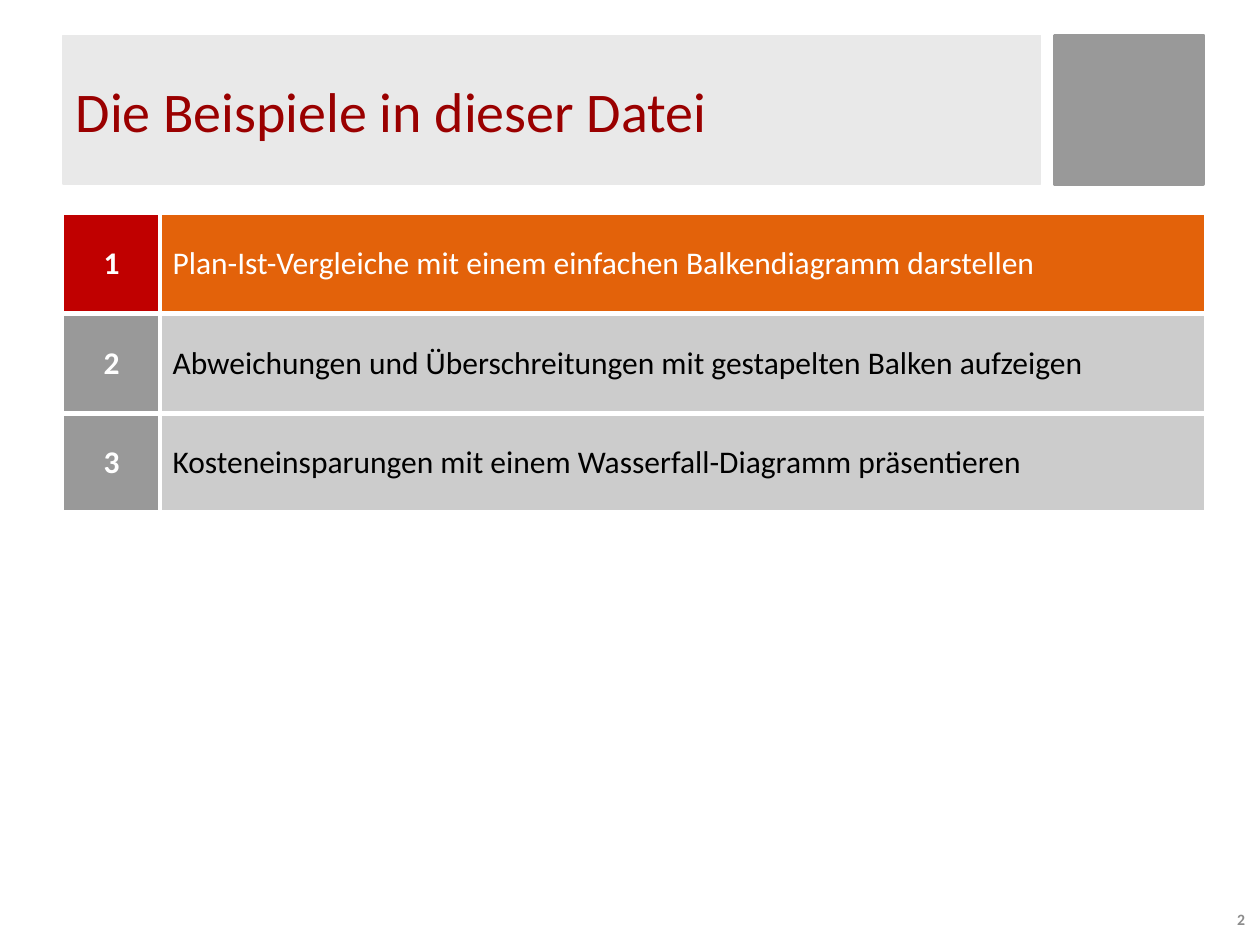
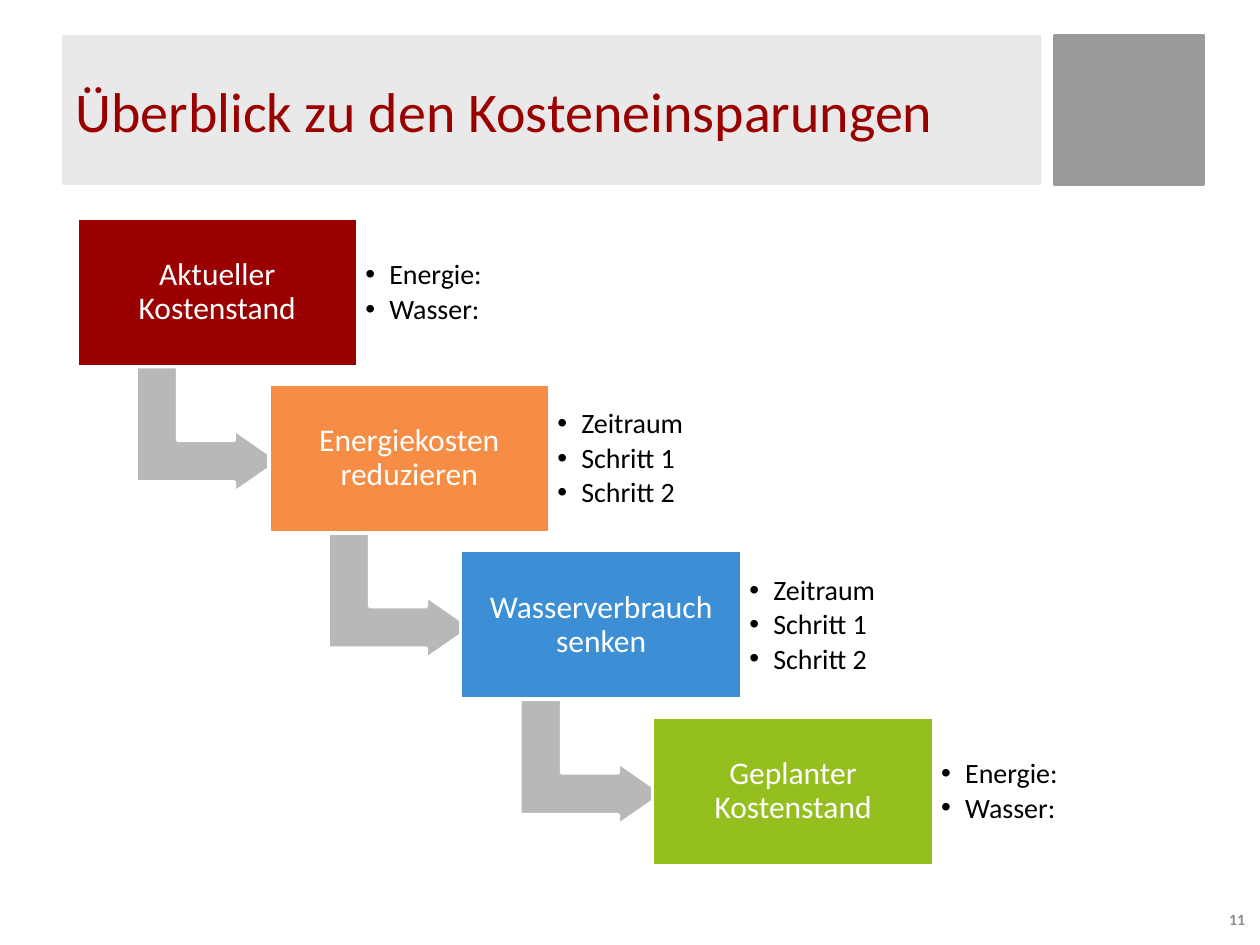
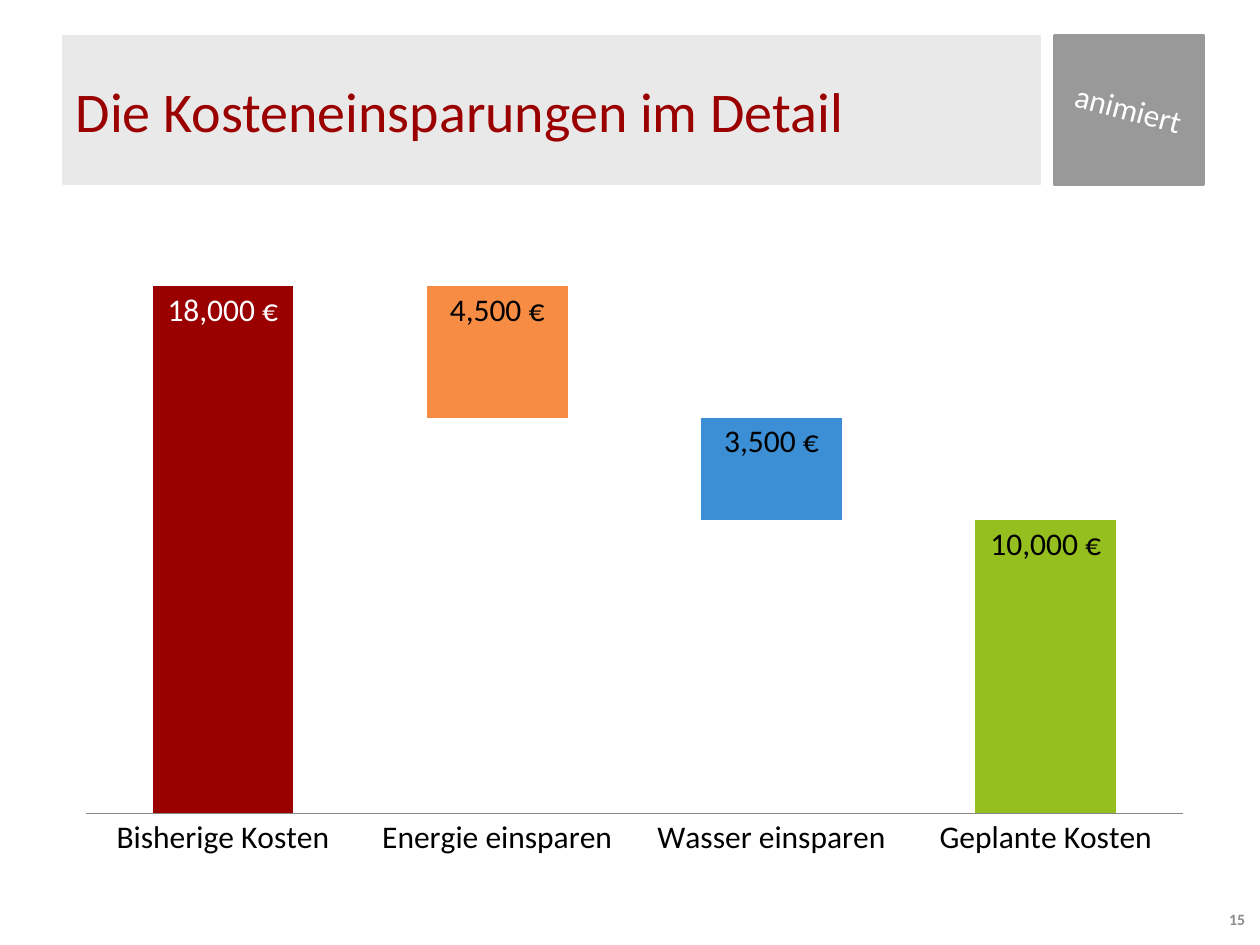
"""Build three slides on presenting cost savings."""
from dataclasses import dataclass

from lxml.etree import SubElement
from pptx import Presentation
from pptx.chart.data import CategoryChartData
from pptx.dml.color import RGBColor
from pptx.enum.chart import XL_CHART_TYPE, XL_LABEL_POSITION, XL_TICK_MARK
from pptx.enum.shapes import MSO_SHAPE
from pptx.enum.text import MSO_ANCHOR, MSO_AUTO_SIZE, PP_ALIGN
from pptx.oxml.ns import qn
from pptx.util import Inches, Pt


@dataclass(frozen=True)
class Theme:
    """Hold the colours, font and type sizes of the deck."""
    font: str = "Calibri"
    title_size: int = 32
    text_size: int = 18
    list_size: int = 16
    number_size: int = 9
    white: str = "FFFFFF"
    black: str = "000000"
    title_band: str = "E9E9E9"
    corner: str = "999999"
    arrow: str = "B8B8B8"
    row: str = "CCCCCC"
    axis: str = "868686"
    page_number: str = "8C8C8C"
    active_number: str = "C00000"
    active_row: str = "E3620A"
    dark_red: str = "9A0000"
    orange: str = "F78D44"
    blue: str = "3C8FD4"
    green: str = "95BF1F"

    @property
    def stages(self):
        """Return the colours of the four cost stages."""
        return self.dark_red, self.orange, self.blue, self.green


class SlideBuilder:
    """Add styled elements to the current slide."""

    def __init__(self, deck, theme):
        """Keep the deck and its theme."""
        self.deck = deck
        self.theme = theme
        self.page = None

    def start_page(self, title, number):
        """Open a slide with its title band, corner square and page number."""
        self.page = self.deck.slides.add_slide(self.deck.slide_layouts[5])
        self.add_box(MSO_SHAPE.RECTANGLE, (8.37, 0.28, 1.18, 1.18),
                     self.theme.corner, self.theme.corner)
        band = self.page.shapes.title
        band.left, band.top, band.width, band.height = map(Inches, (0.5, 0.28, 7.76, 1.18))
        self.paint(band, self.theme.title_band, self.theme.title_band, 0.75)
        band.text_frame.vertical_anchor = MSO_ANCHOR.MIDDLE
        band.text_frame.auto_size = MSO_AUTO_SIZE.NONE
        self.add_span(band.text_frame.paragraphs[0], title, self.theme.title_size,
                      self.theme.dark_red, align=PP_ALIGN.LEFT)
        frame = self.add_text_box((9.18, 7.14, 0.8, 0.31)).text_frame
        self.add_span(frame.paragraphs[0], number, self.theme.number_size,
                      self.theme.page_number, bold=True, align=PP_ALIGN.RIGHT)

    def set_font(self, font, size, color, bold=False):
        """Apply the theme font with a size and colour."""
        font.name = self.theme.font
        font.size = Pt(size)
        font.bold = bold
        font.color.rgb = RGBColor.from_string(color)

    def add_span(self, para, text, size, color, bold=False, align=PP_ALIGN.LEFT):
        """Add one formatted run to a paragraph."""
        para.alignment = align
        span = para.add_run()
        span.text = text
        self.set_font(span.font, size, color, bold)

    def paint(self, shape, fill, line, width=2):
        """Give a shape a solid fill and outline."""
        shape.fill.solid()
        shape.fill.fore_color.rgb = RGBColor.from_string(fill)
        shape.line.color.rgb = RGBColor.from_string(line)
        shape.line.width = Pt(width)

    def add_box(self, kind, place, fill, line):
        """Add a flat preset shape."""
        box = self.page.shapes.add_shape(kind, *map(Inches, place))
        box.shadow.inherit = False
        self.paint(box, fill, line)
        return box

    def add_text_box(self, place):
        """Add a wrapping text box centred vertically."""
        box = self.page.shapes.add_textbox(*map(Inches, place))
        box.text_frame.word_wrap = True
        box.text_frame.vertical_anchor = MSO_ANCHOR.MIDDLE
        return box

    def set_margins(self, frame, margin):
        """Set the four text margins alike."""
        frame.margin_left = frame.margin_right = Inches(margin)
        frame.margin_top = frame.margin_bottom = Inches(margin)

    def add_stage(self, left, top, caption, fill):
        """Add a coloured box with a centred caption."""
        box = self.add_box(MSO_SHAPE.RECTANGLE, (left, top, 2.23, 1.18),
                           fill, self.theme.white)
        frame = box.text_frame
        frame.word_wrap = True
        frame.vertical_anchor = MSO_ANCHOR.MIDDLE
        self.set_margins(frame, 0.07)
        frame.paragraphs[0].line_spacing = 0.9
        self.add_span(frame.paragraphs[0], caption, self.theme.text_size,
                      self.theme.white, align=PP_ALIGN.CENTER)

    def add_bent_arrow(self, left, top):
        """Add an arrow that runs down and then right."""
        arrow = self.add_box(MSO_SHAPE.BENT_UP_ARROW, (left, top, 1, 1.14),
                             self.theme.arrow, self.theme.white)
        arrow.rotation = 90
        for index, value in enumerate((0.33, 0.25, 0.36)):
            arrow.adjustments[index] = value

    def add_bullets(self, left, top, items):
        """Add a small bulleted list."""
        frame = self.add_text_box((left, top, 1.22, 0.95)).text_frame
        self.set_margins(frame, 0.07)
        for index, item in enumerate(items):
            para = frame.add_paragraph() if index else frame.paragraphs[0]
            para.line_spacing = 0.9
            para.space_after = Pt(2.4)
            properties = para._p.get_or_add_pPr()
            properties.set("marL", str(Inches(0.19)))
            properties.set("indent", str(-Inches(0.19)))
            SubElement(properties, qn("a:buFont"), typeface="Arial")
            SubElement(properties, qn("a:buChar"), char="•")
            self.add_span(para, item, self.theme.list_size, self.theme.black)

    def fill_cell(self, cell, text, fill, color, borders, bold=False, align=PP_ALIGN.LEFT):
        """Fill a table cell with text, colour and white borders."""
        properties = cell._tc.get_or_add_tcPr()
        for side, width in zip("LRTB", borders):
            line = SubElement(properties, qn(f"a:ln{side}"), w=str(Pt(width)))
            solid = SubElement(line, qn("a:solidFill"))
            SubElement(solid, qn("a:srgbClr"), val=self.theme.white)
        cell.fill.solid()
        cell.fill.fore_color.rgb = RGBColor.from_string(fill)
        cell.vertical_anchor = MSO_ANCHOR.MIDDLE
        self.add_span(cell.text_frame.paragraphs[0], text, self.theme.text_size,
                      color, bold, align)

    def add_agenda(self, topics, active):
        """Add a numbered topic table with one highlighted row."""
        theme = self.theme
        place = map(Inches, (0.5, 1.7, 9.06, 0.79 * len(topics)))
        table = self.page.shapes.add_table(len(topics), 2, *place).table
        table.first_row = table.horz_banding = False
        table.columns[0].width, table.columns[1].width = Inches(0.77), Inches(8.29)
        for index, topic in enumerate(topics):
            top = 3 if index else 1
            if index == active:
                number_fill, row_fill, color = theme.active_number, theme.active_row, theme.white
            else:
                number_fill, row_fill, color = theme.corner, theme.row, theme.black
            self.fill_cell(table.cell(index, 0), str(index + 1), number_fill, theme.white,
                           (1, 3, top, 3), bold=True, align=PP_ALIGN.CENTER)
            self.fill_cell(table.cell(index, 1), topic, row_fill, color, (3, 1, top, 3))

    def add_waterfall(self, categories, bases, amounts):
        """Add stacked columns that float on invisible bases."""
        theme = self.theme
        euro = '#,##0\\ "€"'
        data = CategoryChartData(number_format=euro)
        data.categories = categories
        data.add_series("Series 1", bases)
        data.add_series("Series 2", amounts)
        place = map(Inches, (0.5, 1.7, 9.07, 5.2))
        chart = self.page.shapes.add_chart(XL_CHART_TYPE.COLUMN_STACKED, *place, data).chart
        chart.has_legend = chart.has_title = False
        self.set_font(chart.font, theme.text_size, theme.black)
        chart.value_axis.visible = False
        chart.value_axis.has_major_gridlines = False
        chart.value_axis.minimum_scale = 0
        chart.value_axis.maximum_scale = 20000
        chart.category_axis.major_tick_mark = XL_TICK_MARK.NONE
        chart.category_axis.format.line.color.rgb = RGBColor.from_string(theme.axis)
        plot = chart.plots[0]
        plot.gap_width, plot.overlap = 95, 100
        plot.vary_by_categories = False
        base, amount = plot.series
        base.format.fill.background()
        for index, color in enumerate(theme.stages):
            fill = amount.points[index].format.fill
            fill.solid()
            fill.fore_color.rgb = RGBColor.from_string(color)
        labels = amount.data_labels
        labels.show_value = True
        labels.number_format = euro
        labels.number_format_is_linked = False
        labels.position = XL_LABEL_POSITION.INSIDE_END
        self.set_font(labels.font, theme.text_size, theme.black)
        first = amount.points[0].data_label
        self.set_font(first.font, theme.text_size, theme.white)
        first.position = XL_LABEL_POSITION.INSIDE_END

    def add_corner_note(self, text):
        """Add a tilted note on the corner square."""
        box = self.add_text_box((8.43, 0.66, 1.07, 0.4))
        box.rotation = 15
        box.text_frame.word_wrap = False
        box.text_frame.auto_size = MSO_AUTO_SIZE.SHAPE_TO_FIT_TEXT
        self.add_span(box.text_frame.paragraphs[0], text, self.theme.text_size,
                      self.theme.white)


def build_agenda(builder):
    """Build the list of examples."""
    builder.start_page("Die Beispiele in dieser Datei", "2")
    builder.add_agenda((
        "Plan-Ist-Vergleiche mit einem einfachen Balkendiagramm darstellen",
        "Abweichungen und Überschreitungen mit gestapelten Balken aufzeigen",
        "Kosteneinsparungen mit einem Wasserfall-Diagramm präsentieren",
    ), active=0)


def build_overview(builder):
    """Build the staircase of cost stages."""
    builder.start_page("Überblick zu den Kosteneinsparungen", "11")
    costs = ("Energie:", "Wasser:")
    plan = ("Zeitraum", "Schritt 1", "Schritt 2")
    stages = (
        ("Aktueller Kostenstand", costs),
        ("Energiekosten reduzieren", plan),
        ("Wasserverbrauch senken", plan),
        ("Geplanter Kostenstand", costs),
    )
    step_right, step_down = 4.57 / 3, 1.32
    for index, (caption, items) in enumerate(stages):
        left, top = 0.61 + index * step_right, 1.73 + index * step_down
        if index < len(stages) - 1:
            builder.add_bent_arrow(left + 0.54, top + 1.11)
        builder.add_stage(left, top, caption, builder.theme.stages[index])
        builder.add_bullets(left + 2.22, top + 0.12, items)


def build_detail(builder):
    """Build the waterfall of savings."""
    builder.start_page("Die Kosteneinsparungen im Detail", "15")
    builder.add_waterfall(
        ("Bisherige Kosten", "Energie einsparen", "Wasser einsparen", "Geplante Kosten"),
        (0, 13500, 10000, 0),
        (18000, 4500, 3500, 10000),
    )
    builder.add_corner_note("animiert")


def main():
    """Create and save the deck."""
    deck = Presentation()
    deck.slide_width, deck.slide_height = Inches(10), Inches(7.5)
    builder = SlideBuilder(deck, Theme())
    build_agenda(builder)
    build_overview(builder)
    build_detail(builder)
    deck.save("out.pptx")


if __name__ == "__main__":
    main()
